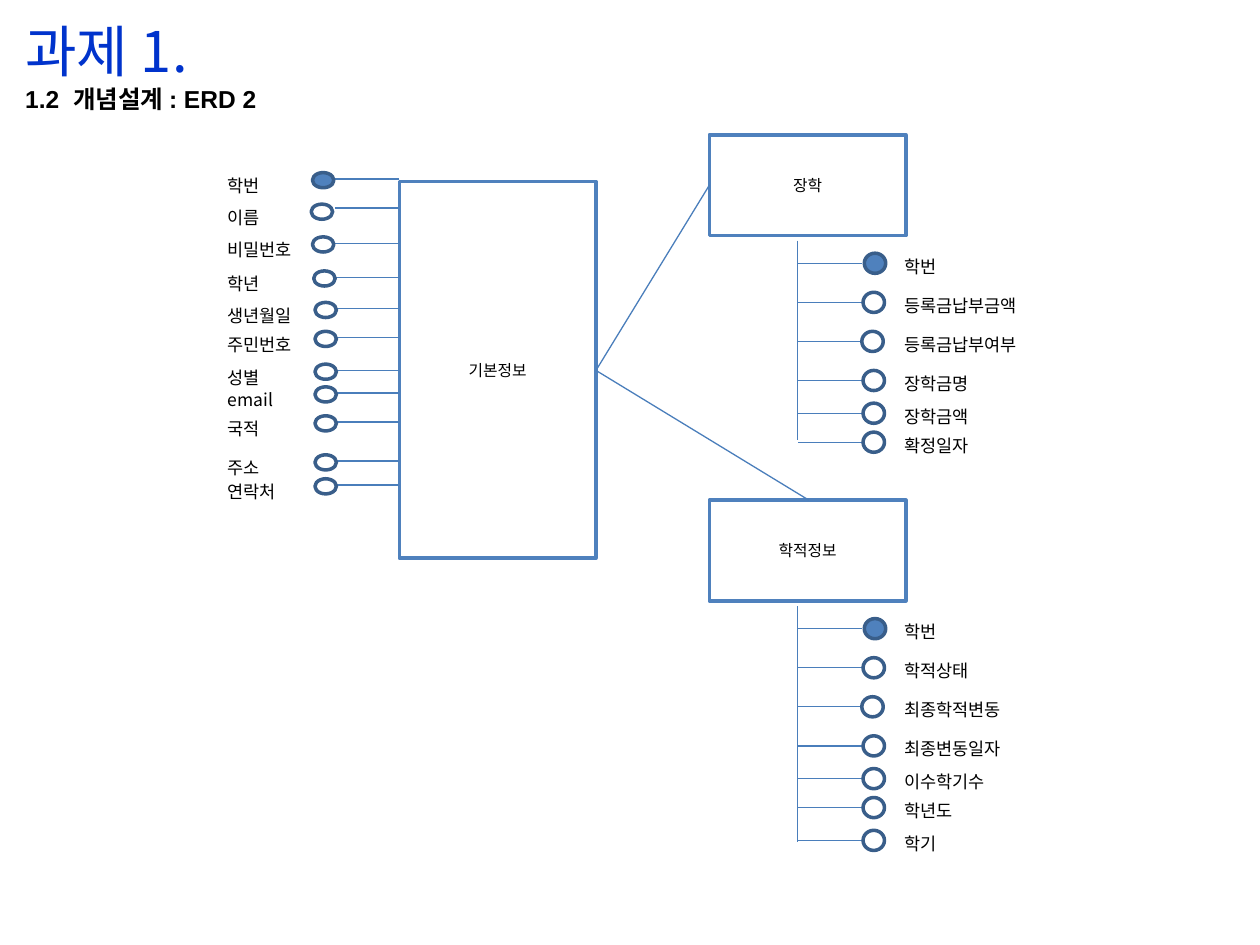
from dataclasses import dataclass

from lxml.etree import SubElement
from pptx import Presentation
from pptx.dml.color import RGBColor
from pptx.enum.shapes import MSO_CONNECTOR, MSO_SHAPE
from pptx.enum.text import MSO_ANCHOR, MSO_AUTO_SIZE, PP_ALIGN
from pptx.oxml.ns import qn
from pptx.util import Inches, Pt

WIDTH, HEIGHT = Inches(10), Inches(7.5)
COLUMN, ROW = WIDTH / 100, HEIGHT / 75

BLACK = RGBColor(0x00, 0x00, 0x00)
WHITE = RGBColor(0xFF, 0xFF, 0xFF)
TITLE_BLUE = RGBColor(0x00, 0x33, 0xCC)
ENTITY_BLUE = RGBColor(0x4F, 0x81, 0xBD)
NODE_BLUE = RGBColor(0x39, 0x5E, 0x8A)
LINK_BLUE = RGBColor(0x4A, 0x7E, 0xBB)

KOREAN_FONT = "Noto Sans CJK KR"


@dataclass(frozen=True)
class Box:
    """A rectangle in grid columns and rows."""
    left: float
    top: float
    width: float
    height: float

    def lengths(self) -> tuple[int, int, int, int]:
        return (round(self.left * COLUMN), round(self.top * ROW),
                round(self.width * COLUMN), round(self.height * ROW))


@dataclass(frozen=True)
class Attribute:
    name: str
    row: float
    shift: float = 0  # columns the node moves sideways
    drop: float = 0  # rows the node and name move down
    is_key: bool = False


@dataclass(frozen=True)
class AttributeStyle:
    """Places the parts of an attribute; rises are measured from its line."""
    line_start: float
    line_end: float
    node_left: float
    node_height: float
    node_rise: float
    name_left: float
    name_width: float
    name_rise: float


@dataclass(frozen=True)
class Entity:
    name: str
    box: Box


LEFT_STYLE = AttributeStyle(31.7, 26.6, 25, 1.2, 0.5, 17.1, 8.2, 0.8)
RIGHT_STYLE = AttributeStyle(68.4, 63.3, 68.5, 1.6, 0.8, 70.8, 17, 1.1)

BASIC_INFO = Entity("기본정보", Box(31.7, 14.4, 15.6, 29.9))
BASIC_ATTRIBUTES = (
    Attribute("학번", 14.2, -0.2, is_key=True),
    Attribute("이름", 16.5, -0.3, 0.2),
    Attribute("비밀번호", 19.3, -0.2),
    Attribute("학년", 22, -0.1),
    Attribute("생년월일", 24.5),
    Attribute("주민번호", 26.8),
    Attribute("성별", 29.4),
    Attribute("email", 31.2),
    Attribute("국적", 33.5),
    Attribute("주소", 36.6),
    Attribute("연락처", 38.5),
)

SCHOLARSHIP = Entity("장학", Box(56.3, 10.7, 15.6, 8))
SCHOLARSHIP_NAMES = ("학번", "등록금납부금액", "등록금납부여부",
                     "장학금명", "장학금액", "확정일자")
ENROLMENT = Entity("학적정보", Box(56.3, 39.7, 15.6, 8))
ENROLMENT_NAMES = ("학번", "학적상태", "최종학적변동", "최종변동일자",
                   "이수학기수", "학년도", "학기")
# Rows below the top of the entity, and sideways shift, of each attribute
BRANCHES = ((10.2, 0.1), (13.3, 0), (16.4, -0.1), (19.5, 0),
            (22.1, 0), (24.4, 0), (27, 0))
STEM_COLUMN = 63.3


def write(paragraph, text: str, *, size: float, font: str = KOREAN_FONT,
          color: RGBColor = BLACK, bold: bool = False, align=PP_ALIGN.LEFT,
          line_spacing=None) -> None:
    paragraph.alignment = align
    if line_spacing:
        paragraph.line_spacing = line_spacing
        paragraph.space_before = Pt(0)
    run = paragraph.add_run()
    run.text = text
    run.font.size = Pt(size)
    run.font.name = font
    run.font.bold = bold
    run.font.color.rgb = color
    SubElement(run.font._element, qn("a:ea"), typeface=KOREAN_FONT)


def add_title(slide) -> None:
    title = slide.shapes.title
    title.left, title.top, title.width, title.height = Box(1, 1.4, 98, 10.4).lengths()
    frame = title.text_frame
    frame.auto_size = MSO_AUTO_SIZE.NONE
    frame.vertical_anchor = MSO_ANCHOR.TOP
    frame.margin_top = Inches(0.29)
    write(frame.paragraphs[0], "과제 1.", size=32, color=TITLE_BLUE,
          line_spacing=Pt(17))
    write(frame.add_paragraph(), "1.2  개념설계 : ERD 2", size=14, font="Arial",
          bold=True, line_spacing=Pt(17))


def add_outlined(slide, kind, box: Box, fill: RGBColor, line: RGBColor):
    shape = slide.shapes.add_shape(kind, *box.lengths())
    shape.shadow.inherit = False
    shape.fill.solid()
    shape.fill.fore_color.rgb = fill
    shape.line.color.rgb = line
    shape.line.width = Pt(2)
    return shape


def add_entity(slide, entity: Entity) -> None:
    shape = add_outlined(slide, MSO_SHAPE.RECTANGLE, entity.box, WHITE, ENTITY_BLUE)
    shape.text_frame.vertical_anchor = MSO_ANCHOR.MIDDLE
    write(shape.text_frame.paragraphs[0], entity.name, size=9, align=PP_ALIGN.CENTER)


def add_line(slide, start: tuple[float, float], end: tuple[float, float]) -> None:
    line = slide.shapes.add_connector(
        MSO_CONNECTOR.STRAIGHT,
        round(start[0] * COLUMN), round(start[1] * ROW),
        round(end[0] * COLUMN), round(end[1] * ROW))
    line.line.color.rgb = LINK_BLUE
    line.line.width = Pt(0.75)
    SubElement(line._element.spPr, qn("a:effectLst"))


def add_attribute(slide, attribute: Attribute, style: AttributeStyle) -> None:
    add_line(slide, (style.line_start, attribute.row), (style.line_end, attribute.row))
    row = attribute.row + attribute.drop
    node = Box(style.node_left + attribute.shift, row - style.node_rise,
               1.7, style.node_height)
    add_outlined(slide, MSO_SHAPE.OVAL, node,
                 ENTITY_BLUE if attribute.is_key else WHITE, NODE_BLUE)
    name = Box(style.name_left, row - style.name_rise, style.name_width, 2.6)
    frame = slide.shapes.add_textbox(*name.lengths()).text_frame
    frame.word_wrap = True
    write(frame.paragraphs[0], attribute.name, size=10)


def add_branching_entity(slide, entity: Entity, names: tuple[str, ...],
                         stem_end: float) -> None:
    """Draw an entity whose attributes branch off a stem below it."""
    add_entity(slide, entity)
    top = entity.box.top
    add_line(slide, (STEM_COLUMN, top + 8.4), (STEM_COLUMN, stem_end))
    for index, (name, (offset, shift)) in enumerate(zip(names, BRANCHES)):
        attribute = Attribute(name, top + offset, shift, is_key=index == 0)
        add_attribute(slide, attribute, RIGHT_STYLE)


def main() -> None:
    presentation = Presentation()
    presentation.slide_width, presentation.slide_height = WIDTH, HEIGHT
    slide = presentation.slides.add_slide(presentation.slide_layouts[5])
    add_title(slide)

    add_entity(slide, BASIC_INFO)
    for attribute in BASIC_ATTRIBUTES:
        add_attribute(slide, attribute, LEFT_STYLE)
    add_branching_entity(slide, SCHOLARSHIP, SCHOLARSHIP_NAMES, 34.9)
    add_branching_entity(slide, ENROLMENT, ENROLMENT_NAMES, 66.8)

    basic_right = (47.3, 29.4)
    add_line(slide, (56.3, 14.7), basic_right)
    add_line(slide, basic_right, (64.2, 39.7))
    presentation.save("out.pptx")


if __name__ == "__main__":
    main()
